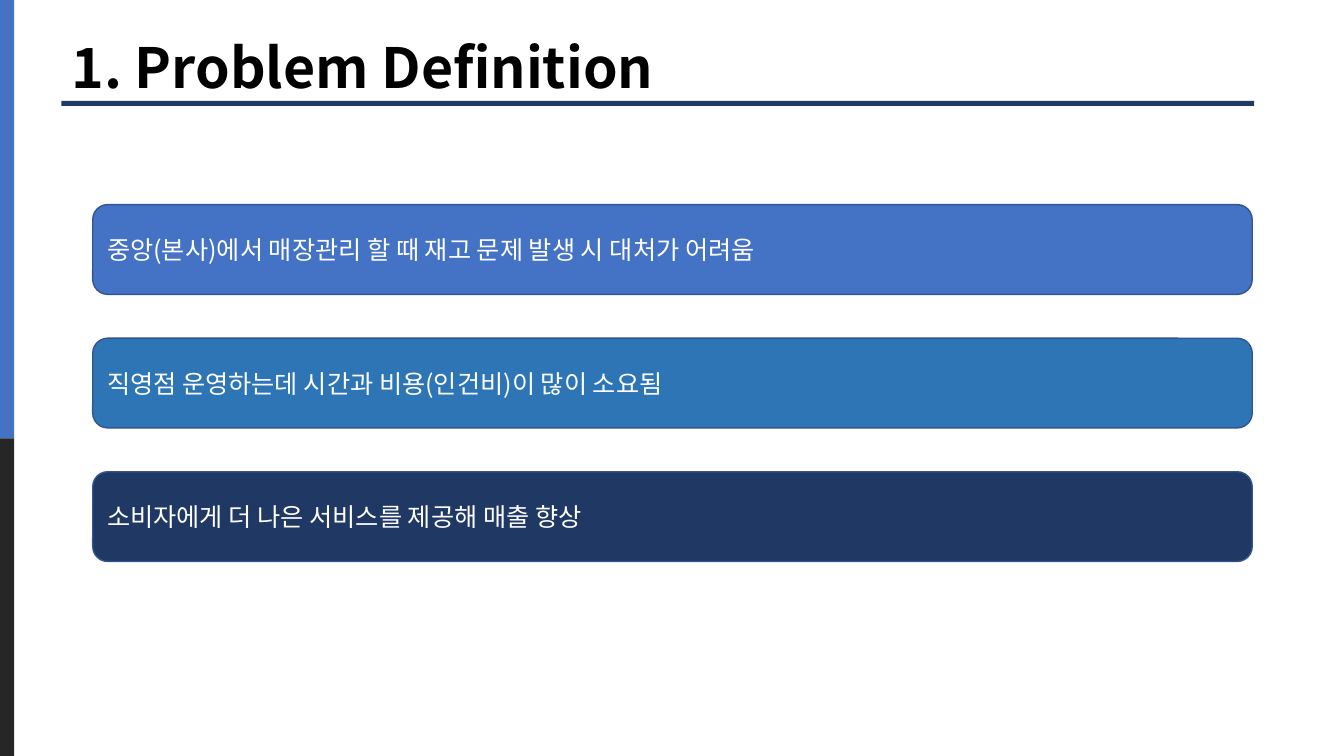
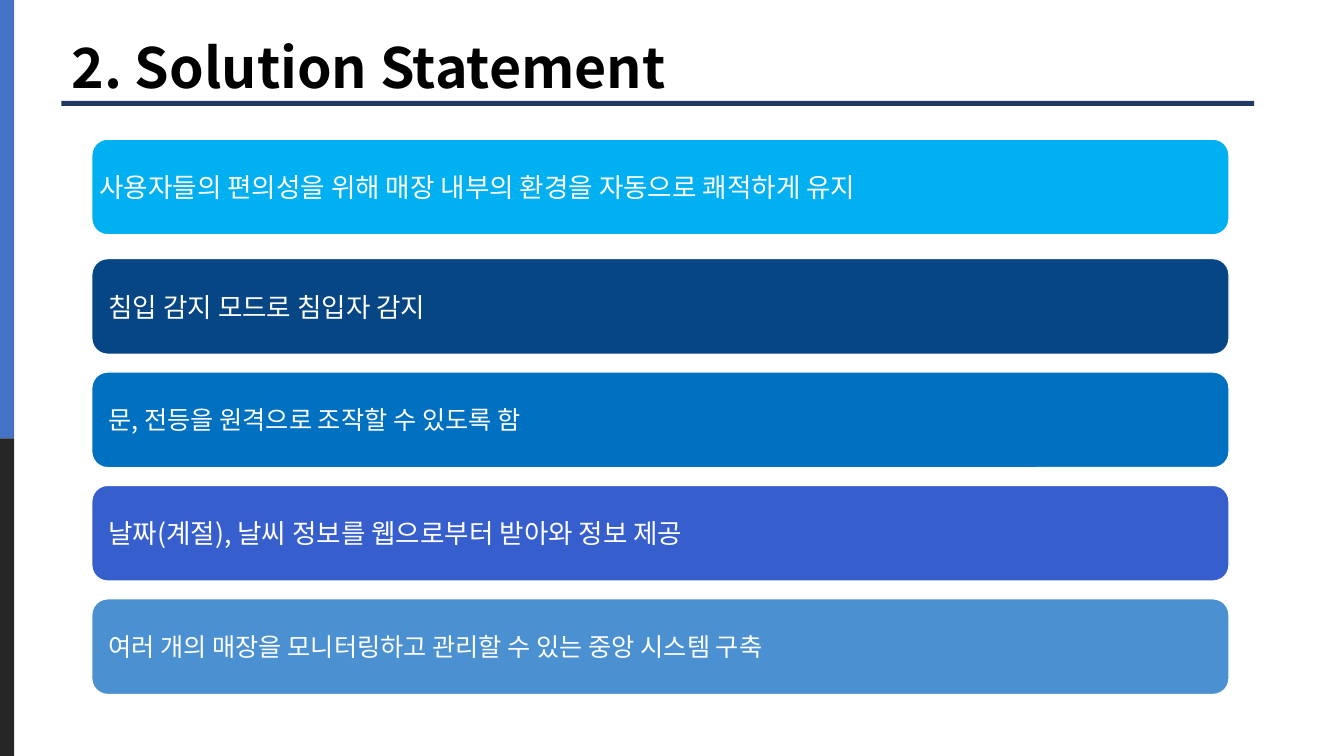
from lxml import etree
from pptx import Presentation
from pptx.dml.color import RGBColor
from pptx.enum import shapes, text
from pptx.oxml import ns
from pptx.util import Inches, Pt

FONT = "Noto Sans CJK KR"
BLUE, NAVY, CHARCOAL = "4472C4", "203864", "262626"
WHITE, BLACK, OUTLINE = "FFFFFF", "000000", "325491"


def color(value):
    return RGBColor.from_string(value)


def format_paragraph(paragraph, size, ink, bold=False, line_spacing=1.0):
    paragraph.alignment = text.PP_ALIGN.LEFT
    paragraph.line_spacing = line_spacing
    font = paragraph.font
    font.size, font.bold = Pt(size), bold
    font.color.rgb = color(ink)
    font.name = FONT
    # Hangul takes the East Asian font
    properties = paragraph._p.pPr.find(ns.qn("a:defRPr"))
    etree.SubElement(properties, ns.qn("a:ea"), typeface=FONT)


def add_box(slide, kind, box, fill, line=None):
    shape = slide.shapes.add_shape(kind, *map(Inches, box))
    shape.shadow.inherit = False
    shape.fill.solid()
    shape.fill.fore_color.rgb = color(fill)
    if line:
        shape.line.color.rgb = color(line)
        shape.line.width = Pt(1)
    else:
        shape.line.fill.background()
    return shape


def prepare_layout(presentation):
    """Put the side band, the title rule and the title place on the layout."""
    layout = presentation.slide_layouts[5]
    for placeholder in list(layout.placeholders):
        if placeholder.placeholder_format.type == shapes.PP_PLACEHOLDER.TITLE:
            placeholder.left, placeholder.top = Inches(0.61), Inches(0.4)
            placeholder.width, placeholder.height = Inches(12.12), Inches(0.6)
        else:
            layout.shapes.element.remove(placeholder.element)
    return layout


def add_bands(slide, layout):
    """Draw the shared bands, then hand them to the layout."""
    for box, fill in (
        ((-0.01, 0, 0.15, 4.35), BLUE),
        ((-0.01, 4.35, 0.15, 3.15), CHARCOAL),
        ((0.61, 1, 11.83, 0.05), NAVY),
    ):
        band = add_box(slide, shapes.MSO_SHAPE.RECTANGLE, box, fill)
        layout.shapes.element.append(band.element)


def add_titled_slide(presentation, layout, title):
    slide = presentation.slides.add_slide(layout)
    frame = slide.shapes.title.text_frame
    frame.text = title
    frame.vertical_anchor = text.MSO_ANCHOR.MIDDLE
    format_paragraph(frame.paragraphs[0], 39.6, BLACK, True, 0.9)
    return slide


def add_bar(slide, box, wording, fill, line, size=18, inset=0.1):
    bar = add_box(slide, shapes.MSO_SHAPE.ROUNDED_RECTANGLE, box, fill, line)
    frame = bar.text_frame
    frame.word_wrap = True
    frame.vertical_anchor = text.MSO_ANCHOR.MIDDLE
    frame.margin_left = Inches(inset)
    frame.text = wording
    format_paragraph(frame.paragraphs[0], size, WHITE)


def add_problems(slide, left, top, width):
    height, pitch = 0.89, 1.325
    problems = (
        ("중앙(본사)에서 매장관리 할 때 재고 문제 발생 시 대처가 어려움", BLUE),
        ("직영점 운영하는데 시간과 비용(인건비)이 많이 소요됨", "2E75B6"),
        ("소비자에게 더 나은 서비스를 제공해 매출 향상", NAVY),
    )
    for index, (wording, fill) in enumerate(problems):
        box = (left, top + index * pitch, width, height)
        add_bar(slide, box, wording, fill, OUTLINE)


def add_solutions(slide, left, top, width):
    height, pitch, lead_gap = 0.95, 1.125, 0.06
    solutions = (
        ("사용자들의 편의성을 위해 매장 내부의 환경을 자동으로 쾌적하게 유지", "00B0F0", 19),
        ("침입 감지 모드로 침입자 감지", "074684", 19),
        ("문, 전등을 원격으로 조작할 수 있도록 함", "0070C0", 18),
        ("날짜(계절), 날씨 정보를 웹으로부터 받아와 정보 제공", "375ECD", 19),
        ("여러 개의 매장을 모니터링하고 관리할 수 있는 중앙 시스템 구축", "4B91D1", 18),
    )
    for index, (wording, fill, size) in enumerate(solutions):
        # The lead bar stands a little apart, with its text further left
        offset, inset = (index * pitch + lead_gap, 0.12) if index else (0, 0.03)
        box = (left, top + offset, width, height)
        add_bar(slide, box, wording, fill, WHITE, size, inset)


def main():
    presentation = Presentation()
    presentation.slide_width, presentation.slide_height = Inches(13.33), Inches(7.5)
    layout = prepare_layout(presentation)

    problem_slide = add_titled_slide(presentation, layout, "1. Problem Definition")
    add_bands(problem_slide, layout)
    add_problems(problem_slide, 0.92, 2.03, 11.5)

    solution_slide = add_titled_slide(presentation, layout, "2. Solution Statement")
    add_solutions(solution_slide, 0.91, 1.38, 11.28)

    presentation.save("out.pptx")


if __name__ == "__main__":
    main()
